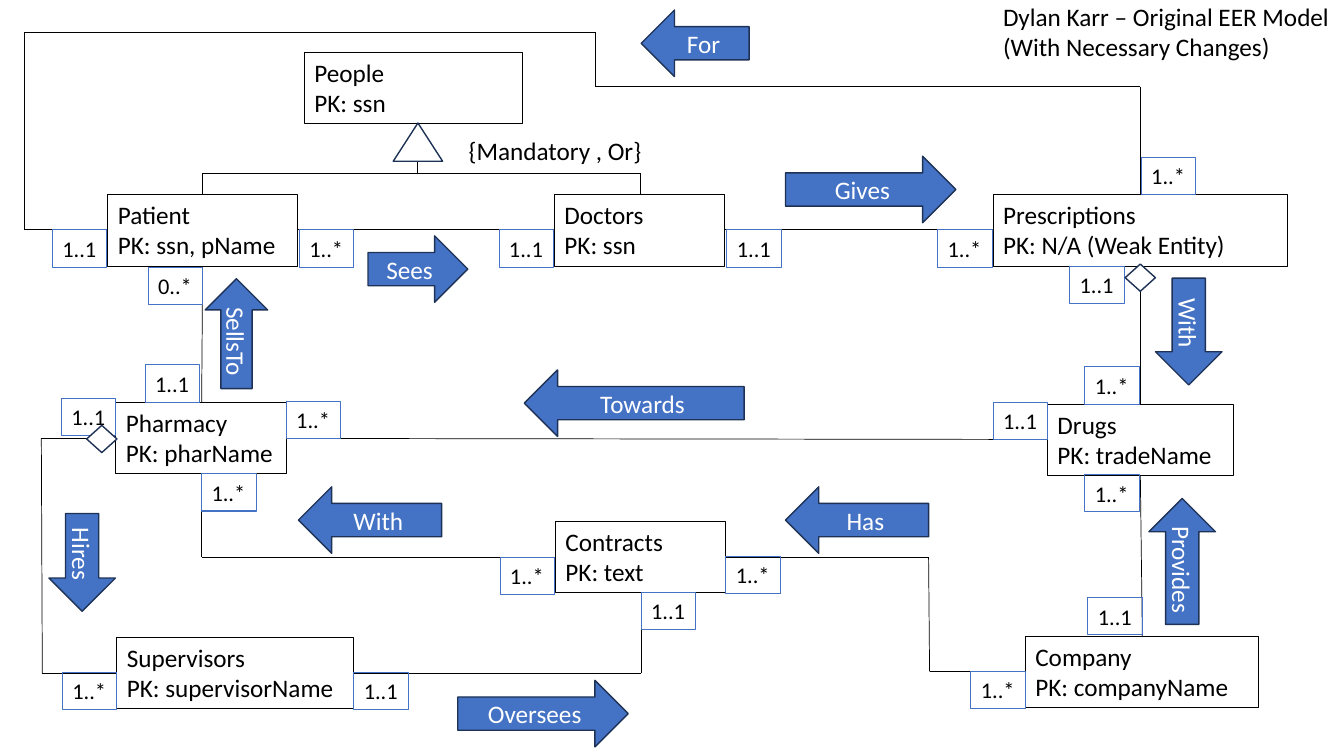
from itertools import pairwise

from lxml import etree
from pptx import Presentation
from pptx.dml.color import RGBColor
from pptx.enum.shapes import MSO_CONNECTOR, MSO_SHAPE
from pptx.enum.text import MSO_ANCHOR, PP_ALIGN
from pptx.oxml.ns import qn
from pptx.util import Inches, Pt

BLACK = RGBColor(0x00, 0x00, 0x00)
WHITE = RGBColor(0xFF, 0xFF, 0xFF)
BLUE = RGBColor(0x44, 0x72, 0xC4)
NAVY = RGBColor(0x1E, 0x32, 0x56)

RECT = MSO_SHAPE.RECTANGLE
RIGHT = MSO_SHAPE.RIGHT_ARROW
LEFT = MSO_SHAPE.LEFT_ARROW
TRIANGLE = MSO_SHAPE.ISOSCELES_TRIANGLE
DIAMOND = MSO_SHAPE.DIAMOND
STRAIGHT = MSO_CONNECTOR.STRAIGHT
TOP = MSO_ANCHOR.TOP
MIDDLE = MSO_ANCHOR.MIDDLE
START = PP_ALIGN.LEFT
CENTER = PP_ALIGN.CENTER

ONE, MANY, ANY = "1..1", "1..*", "0..*"

ENTITIES = [
    ((3.02, 0.52, 2.16), "People", "ssn", []),
    ((1.07, 1.93, 1.88), "Patient", "ssn, pName",
     [(-0.55, 0.35, ONE), (1.9, 0.35, MANY), (0.4, 0.72, ANY)]),
    ((5.5, 1.93, 1.69), "Doctors", "ssn",
     [(-0.55, 0.35, ONE), (1.71, 0.35, ONE)]),
    ((9.85, 1.93, 2.92), "Prescriptions", "N/A (Weak Entity)",
     [(-0.55, 0.35, MANY), (0.76, 0.71, ONE), (1.47, -0.37, MANY)]),
    ((1.15, 3.99, 1.69), "Pharmacy", "pharName",
     [(-0.54, -0.04, ONE), (0.29, -0.37, ONE),
      (1.69, -0.01, MANY), (0.85, 0.71, MANY)]),
    ((10.39, 4.01, 1.84), "Drugs", "tradeName",
     [(-0.54, -0.02, ONE), (0.37, -0.37, MANY), (0.37, 0.7, MANY)]),
    ((5.51, 5.17, 1.69), "Contracts", "text",
     [(-0.55, 0.36, MANY), (1.69, 0.35, MANY), (0.85, 0.71, ONE)]),
    ((1.16, 6.32, 2.35), "Supervisors", "supervisorName",
     [(-0.54, 0.35, MANY), (2.35, 0.35, ONE)]),
    ((10.17, 6.31, 2.31), "Company", "companyName",
     [(-0.54, 0.35, MANY), (0.62, -0.38, ONE)]),
]

ROUTES = [
    [(2.95, 2.28), (5.5, 2.28)],
    [(7.19, 2.28), (9.85, 2.28)],
    [(11.31, 2.63), (11.31, 4.01)],
    [(11.31, 4.71), (11.33, 6.31)],
    [(10.39, 4.36), (2.84, 4.35)],
    [(3.51, 6.68), (6.36, 6.68), (6.36, 5.88)],
    [(1.15, 4.35), (0.41, 4.35), (0.42, 6.68), (1.16, 6.68)],
    [(2.01, 2.63), (2, 3.99)],
    [(2, 4.7), (2, 5.53), (5.51, 5.53)],
    [(7.2, 5.53), (9.21, 5.53), (9.22, 6.66), (10.17, 6.66)],
    [(4.14, 1.6), (4.14, 1.72)],
    [(2.01, 1.93), (2.01, 1.72), (6.35, 1.72), (6.35, 1.93)],
    [(11.31, 1.93), (11.31, 0.86), (5.9, 0.86), (5.9, 0.32),
     (0.24, 0.32), (0.24, 2.28), (1.07, 2.28)],
]

ARROWS = [
    (LEFT, (6.36, 0.1, 1.07, 0.66), "For", 0),
    (RIGHT, (7.79, 1.55, 1.69, 0.66), "Gives", 0),
    (RIGHT, (3.65, 2.34, 0.99, 0.66), "Sees", 0),
    (LEFT, (1.8, 3, 1.09, 0.62), "SellsTo", 90),
    (RIGHT, (11.26, 2.96, 1.06, 0.66), "With", 90),
    (LEFT, (5.2, 3.67, 2.18, 0.66), "Towards", 0),
    (LEFT, (2.96, 4.83, 1.42, 0.66), "With", 0),
    (LEFT, (7.79, 4.83, 1.42, 0.66), "Has", 0),
    (RIGHT, (0.33, 5.25, 0.97, 0.66), "Hires", 90),
    (LEFT, (11.1, 5.24, 1.25, 0.66), "Provides", 90),
    (RIGHT, (4.54, 6.75, 1.69, 0.66), "Oversees", 0),
]

MARKS = [
    (TRIANGLE, (3.9, 1.22, 0.49, 0.38)),
    (DIAMOND, (11.16, 2.62, 0.3, 0.27)),
    (DIAMOND, (0.86, 4.22, 0.3, 0.27)),
]

NOTES = [
    ((9.85, -0.04, 3.67, 0.71),
     "Dylan Karr – Original EER Model (With Necessary Changes)"),
    ((4.55, 1.29, 2.16, 0.4), "{Mandatory , Or}"),
]


def write(shape, lines, size=18, color=BLACK, align=START, anchor=TOP, wrap=True):
    frame = shape.text_frame
    frame.text = "\n".join(lines)
    frame.word_wrap = wrap
    frame.vertical_anchor = anchor
    for para in frame.paragraphs:
        para.alignment = align
        para.font.name = "Calibri"
        para.font.size = Pt(size)
        para.font.color.rgb = color


def draw(slide, kind, box, fill, line, weight):
    shape = slide.shapes.add_shape(kind, *map(Inches, box))
    shape.shadow.inherit = False
    if fill is None:
        shape.fill.background()
    else:
        shape.fill.solid()
        shape.fill.fore_color.rgb = fill
    shape.line.color.rgb = line
    shape.line.width = Pt(weight)
    return shape


def route(slide, points):
    for start, end in pairwise(points):
        line = slide.shapes.add_connector(STRAIGHT, *map(Inches, start + end))
        line.line.color.rgb = BLACK
        line.line.width = Pt(0.5)
        etree.SubElement(line._element.spPr, qn("a:effectLst"))


def entity(slide, box, name, key, tags):
    left, top, width = box
    shape = draw(slide, RECT, (left, top, width, 0.71), WHITE, BLACK, 0.75)
    write(shape, [name, f"PK: {key}"])
    for x, y, text in tags:
        tag = draw(slide, RECT, (left + x, top + y, 0.54, 0.37), None, BLUE, 0.75)
        write(tag, [text], size=16, wrap=False)


def arrow(slide, kind, box, text, turn):
    shape = draw(slide, kind, box, BLUE, NAVY, 1)
    shape.rotation = turn
    write(shape, [text], color=WHITE, align=CENTER, anchor=MIDDLE)


def note(slide, box, text):
    write(slide.shapes.add_textbox(*map(Inches, box)), [text])


def model(slide):
    for points in ROUTES:
        route(slide, points)
    for item in ENTITIES:
        entity(slide, *item)
    for item in ARROWS:
        arrow(slide, *item)
    for kind, box in MARKS:
        draw(slide, kind, box, WHITE, NAVY, 1)
    for item in NOTES:
        note(slide, *item)


deck = Presentation()
deck.slide_width = Inches(13.33)
deck.slide_height = Inches(7.5)
model(deck.slides.add_slide(deck.slide_layouts[6]))
deck.save("out.pptx")
